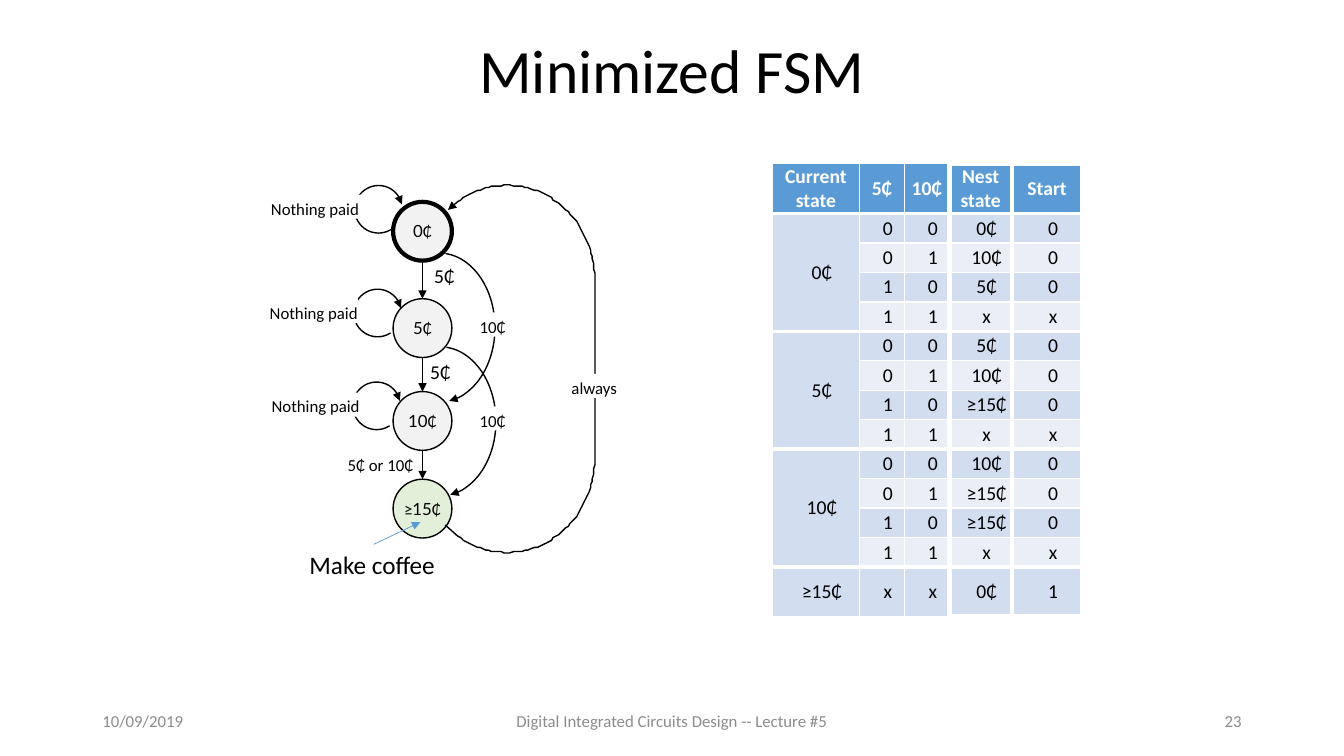
import math
from itertools import groupby
from lxml import etree
from pptx import Presentation
from pptx import util as u
from pptx.dml.color import RGBColor
from pptx.enum import shapes, text
from pptx.oxml import ns

Pt = u.Pt
S, A = shapes.MSO_SHAPE, text.PP_ALIGN
TOP, MID = text.MSO_ANCHOR.TOP, text.MSO_ANCHOR.MIDDLE
C = {"black": "000000", "white": "FFFFFF", "grey": "8C8C8C", "blue": "5B9BD5",
     "dark": "D2DEEF", "light": "EAEFF7", "state": "F2F2F2", "coffee": "E2F0D9"}

# text, left, top, width, height, size, colour, alignment, anchor, wrap, line spacing
TEXTS = [
    ("Minimized FSM", 66, 24, 828, 57, 44, "black", A.CENTER, MID, True, 0.9),
    ("10/09/2019", 66, 500.5, 216, 28.8, 12, "grey", A.LEFT, MID, True, None),
    ("Digital Integrated Circuits Design -- Lecture #5",
     318, 500.5, 324, 28.8, 12, "grey", A.CENTER, MID, True, None),
    ("23", 678, 500.5, 216, 28.8, 12, "grey", A.RIGHT, MID, True, None),
    ("5₵", 303, 185, 29.5, 24.2, 14, "black", A.LEFT, TOP, False, None),
    ("5₵", 300.2, 253.5, 29.5, 24.2, 14, "black", A.LEFT, TOP, False, None),
    ("Make coffee", 214, 388.8, 105, 29, 18, "black", A.LEFT, TOP, False, None),
]

HEADER = ["Current state", "5₵", "10₵", "Nest state", "Start"]
INPUTS = ["00", "01", "10", "11"]
NEXT_STATES = {"0₵": ["0₵", "10₵", "5₵", "x"],
               "5₵": ["5₵", "10₵", "≥15₵", "x"],
               "10₵": ["10₵", "≥15₵", "≥15₵", "x"]}
FINAL_ROW = ["≥15₵", "x", "x", "0₵", "1"]
COLS = [62.6, 31.7, 32.4, 44.6, 50.4]
ROW_H, HEAD_H, FINAL_H = 21.05, 36, 35.3
TABLE_AT = (551.5, 116.6)

# name, top, fill, outline width
STATE_X, STATE_D = 280.8, 42
STATES = [("0₵", 144.2, "state", 3), ("5₵", 213.4, "state", 1),
          ("10₵", 279.7, "state", 1), ("≥15₵", 342.3, "coffee", 1)]
# left, top, width, height, start angle, end angle
LOOP, SKIP = (34, 34, 57, 348), (80, 106.6, 275, 82)
ARCS = [(253.4, 132.5, *LOOP), (252.7, 206.6, *LOOP), (252, 272.9, *LOOP),
        (274.3, 247.7, *SKIP), (273.6, 180.7, *SKIP)]
# text, left, top, width, alignment, line spacing
LABELS = [("Nothing paid", 191.5, 139, 67, A.CENTER, 13.8),
          ("Nothing paid", 181.4, 213.4, 74.2, A.RIGHT, 13.8),
          ("Nothing paid", 191.8, 280.4, 67.4, A.CENTER, 13.8),
          ("5₵ or 10₵", 231, 322, 64.3, A.RIGHT, 13.8),
          ("always", 391.7, 267, 65.5, A.CENTER, 13.8),
          ("10₵", 341.3, 290.2, 21.2, A.CENTER, None),
          ("10₵", 341.3, 223.2, 21.2, A.CENTER, None)]
LABEL_H = 17.3
# return path from the last state to the first: half-ellipse centres and radii
RETURN = {"x": 362.2, "top": 199.4, "bottom": 327.6, "rx": 62.6, "ry": 67}
RETURN_START, RETURN_END, SWEEP = (318.2, 375.1), (319.7, 150.5), 124


def rgb(name):
    """Look up a colour."""
    return RGBColor.from_string(C[name])


def write(tf, runs, size, color="black", align=A.CENTER, anchor=MID, wrap=True,
          spacing=None, insets=None, bold=False):
    """Fill a text frame or table cell with one paragraph of (text, font) runs."""
    tf.word_wrap = wrap
    tf.vertical_anchor = anchor
    if insets:
        (tf.margin_left, tf.margin_top,
         tf.margin_right, tf.margin_bottom) = map(Pt, insets)
    add_runs(tf.paragraphs[0], runs, size, color, align, spacing, bold)


def add_runs(p, runs, size, color, align, spacing=None, bold=False):
    """Add formatted runs to a paragraph."""
    p.alignment = align
    if spacing:
        p.line_spacing = Pt(spacing) if spacing > 5 else spacing
    for words, font in runs:
        r = p.add_run()
        r.text = words
        r.font.name, r.font.size, r.font.bold = font, Pt(size), bold
        r.font.color.rgb = rgb(color)


def shape(kind, box, fill=None, width=None):
    """Add a preset shape with a plain fill and outline."""
    sp = s.shapes.add_shape(kind, *map(Pt, box))
    return style(sp, fill, width)


def style(sp, fill=None, width=None):
    """Set fill and outline, without a shadow."""
    sp.shadow.inherit = False
    if fill:
        sp.fill.solid()
        sp.fill.fore_color.rgb = rgb(fill)
    else:
        sp.fill.background()
    if width:
        sp.line.width, sp.line.color.rgb = Pt(width), rgb("black")
    else:
        sp.line.fill.background()
    return sp


def arrowhead(sp):
    """Put a triangle at the end of a line."""
    etree.SubElement(sp.line._get_or_add_ln(), ns.qn("a:tailEnd"), type="triangle")


def arrow(x1, y1, x2, y2, color="black", width=1):
    """Add a straight arrow."""
    ln = s.shapes.add_connector(shapes.MSO_CONNECTOR.STRAIGHT, *map(Pt, (x1, y1, x2, y2)))
    ln.line.color.rgb, ln.line.width = rgb(color), Pt(width)
    arrowhead(ln)
    etree.SubElement(ln._element.spPr, ns.qn("a:effectLst"))


def borders(cell, widths):
    """Draw white borders; widths run left, right, top, bottom."""
    pr = cell._tc.get_or_add_tcPr()
    for i, (side, width) in enumerate(zip("LRTB", widths)):
        ln = etree.Element(ns.qn("a:ln" + side), w=str(int(Pt(width))))
        fill = etree.SubElement(ln, ns.qn("a:solidFill"))
        etree.SubElement(fill, ns.qn("a:srgbClr"), val=C["white"])
        pr.insert(i, ln)


def add_state_table():
    """Add the state transition table."""
    rows = [HEADER]
    for state, targets in NEXT_STATES.items():
        for i, (paid, target) in enumerate(zip(INPUTS, targets)):
            rows.append([state if i == 0 else "", *paid, target,
                         "x" if target == "x" else "0"])
    rows.append(FINAL_ROW)
    n, last, step = len(rows), len(rows) - 1, len(INPUTS)
    heights = [HEAD_H] + [ROW_H] * (n - 2) + [FINAL_H]
    tbl = s.shapes.add_table(n, len(COLS), *map(Pt, (*TABLE_AT, sum(COLS), sum(heights)))).table
    for col, w in zip(tbl.columns, COLS):
        col.width = Pt(w)
    for row, h in zip(tbl.rows, heights):
        row.height = Pt(h)
    across = [1, 1, 1, 4.5, 3, 4.5]
    for y, row in enumerate(rows):
        for x, words in enumerate(row):
            cell, head = tbl.cell(y, x), y == 0
            top = 3 if y % step == 1 else 4.5 if head and x > 2 else 1
            bottom = 3 if y % step == 0 else 4.5 if y == last and x > 2 else 1
            cell.fill.solid()
            cell.fill.fore_color.rgb = rgb("blue" if head else "dark" if y % 2 else "light")
            borders(cell, (across[x], across[x + 1], top, bottom))
            cell.vertical_anchor = MID
            cell.margin_left = Pt(0 if head else 8.6)
            cell.margin_top = cell.margin_right = cell.margin_bottom = 0
            add_runs(cell.text_frame.paragraphs[0], [(words, "Calibri")] if words else [],
                     14, "white" if head else "black", A.CENTER, bold=head)
    for y in range(1, last, step):
        tbl.cell(y, 0).merge(tbl.cell(y + step - 1, 0))


def add_return_path():
    """Add the curve that always leads back to the first state."""
    points = [RETURN_START]
    for center, angles in ((RETURN["bottom"], range(SWEEP, -1, -2)),
                           (RETURN["top"], range(0, -SWEEP - 1, -2))):
        points += [(RETURN["x"] + RETURN["rx"] * math.cos(math.radians(a)),
                    center + RETURN["ry"] * math.sin(math.radians(a))) for a in angles]
    points.append(RETURN_END)
    fb = s.shapes.build_freeform(*points[0], scale=Pt(1))
    fb.add_line_segments(points[1:], close=False)
    arrowhead(style(fb.convert_to_shape(), width=1))


prs = Presentation()
prs.slide_width, prs.slide_height = Pt(960), Pt(540)
s = prs.slides.add_slide(prs.slide_layouts[6])

add_state_table()
for name, top, fill, width in STATES:
    sp = shape(S.OVAL, (STATE_X, top, STATE_D, STATE_D), fill, width)
    runs = [("".join(g), "Lato" if digit else "Calibri")
            for digit, g in groupby(name, str.isdigit)]
    write(sp.text_frame, runs, 12, wrap=False)
mid_x = STATE_X + STATE_D / 2
for upper, lower in zip(STATES, STATES[1:]):
    arrow(mid_x, upper[1] + STATE_D, mid_x, lower[1])
for *box, start, end in ARCS:
    sp = shape(S.ARC, box, width=1)
    sp.adjustments[0], sp.adjustments[1] = start * 0.6, end * 0.6
    arrowhead(sp)
add_return_path()
for words, x, y, w, align, spacing in LABELS:
    sp = shape(S.RECTANGLE, (x, y, w, LABEL_H), "white")
    write(sp.text_frame, [(words, "Calibri")], 12, align=align, spacing=spacing,
          insets=(0, 2.9, 0, 0))
for words, x, y, w, h, size, color, align, anchor, wrap, spacing in TEXTS:
    tb = s.shapes.add_textbox(*map(Pt, (x, y, w, h)))
    write(tb.text_frame, [(words, "Calibri")], size, color, align, anchor, wrap, spacing)
arrow(267, 388.8, 300.2, 373, "blue", 0.5)
prs.save("out.pptx")
